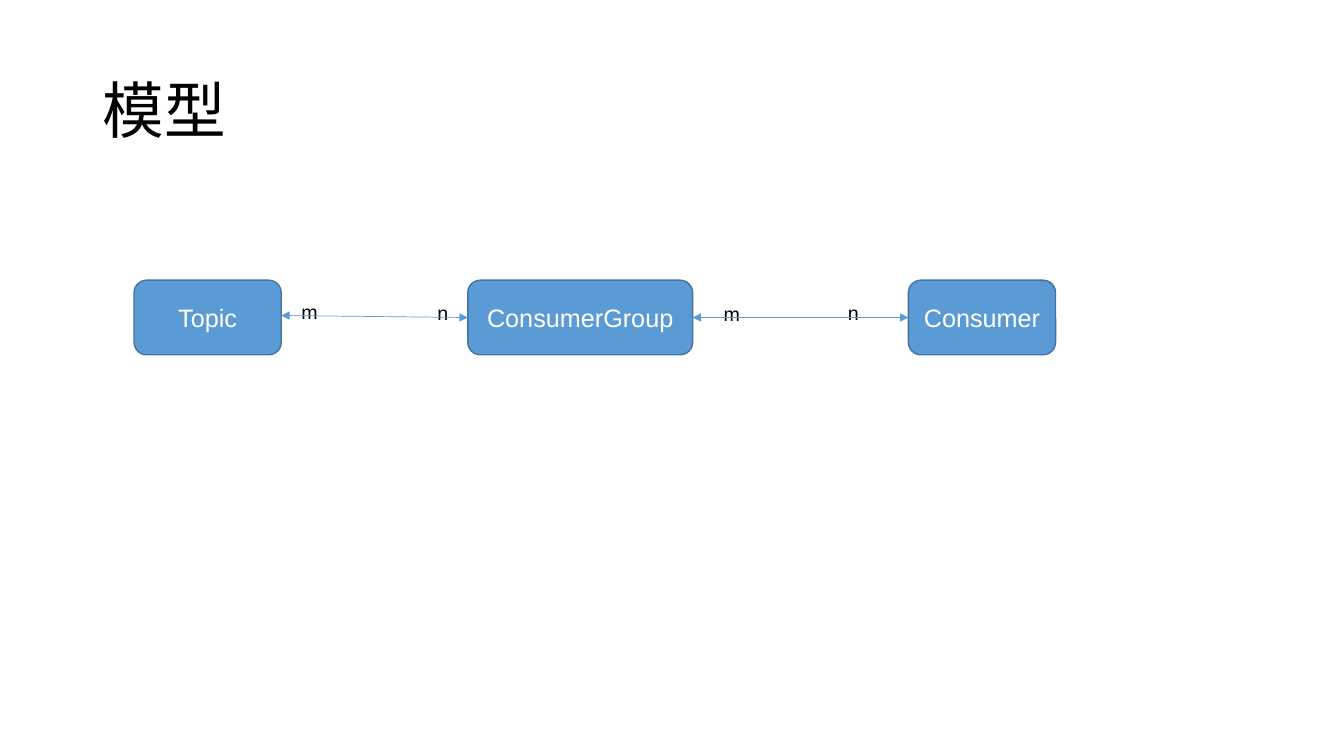
import pptx
import pptx.util
import pptx.dml.color
import pptx.enum.shapes
import pptx.enum.text
import pptx.oxml
import pptx.oxml.ns
from dataclasses import dataclass
from pptx.util import Inches

TITLE = "模型"
ENTITIES = [("Topic", 1.33, 1.46), ("ConsumerGroup", 4.64, 2.23), ("Consumer", 9.01, 1.46)]
ENTITY_TOP, ENTITY_HEIGHT = 2.78, 0.74
CARDINALITIES = [("m", 2.89, 2.93, 0.41), ("n", 4.24, 2.94, 0.41),
                 ("m", 7.08, 2.95, 0.36), ("n", 8.31, 2.94, 0.41)]
CARDINALITY_HEIGHT = 0.34
LINK_START_RISES = [0.02, 0]


@dataclass(frozen=True)
class Theme:
    font: str = "Arial"
    dark: str = "000000"
    light: str = "FFFFFF"
    fill: str = "5B9BD5"
    outline: str = "43739E"
    title_size: int = 44
    entity_size: int = 18
    cardinality_size: int = 14


THEME = Theme()
ALIGN = pptx.enum.text.PP_ALIGN
ANCHOR = pptx.enum.text.MSO_ANCHOR
FIT = pptx.enum.text.MSO_AUTO_SIZE


def rgb(code):
    return pptx.dml.color.RGBColor.from_string(code)


def write(box, text, size, color=THEME.dark, align=ALIGN.LEFT,
          anchor=ANCHOR.MIDDLE, fit=FIT.NONE, spacing=1.0):
    frame = box.text_frame
    frame.word_wrap = True
    frame.auto_size = fit
    frame.vertical_anchor = anchor
    para = frame.paragraphs[0]
    para.alignment = align
    para.line_spacing = spacing
    span = para.add_run()
    span.text = text
    span.font.name = THEME.font
    span.font.size = pptx.util.Pt(size)
    span.font.color.rgb = rgb(color)


def add_title(page):
    box = page.shapes.title
    box.left, box.top, box.width, box.height = map(Inches, (0.92, 0.4, 11.5, 1.45))
    write(box, TITLE, THEME.title_size, spacing=0.9)


def add_entity(page, name, left, width):
    box = page.shapes.add_shape(
        pptx.enum.shapes.MSO_SHAPE.ROUNDED_RECTANGLE,
        *map(Inches, (left, ENTITY_TOP, width, ENTITY_HEIGHT)))
    box.shadow.inherit = False
    box.fill.solid()
    box.fill.fore_color.rgb = rgb(THEME.fill)
    box.line.color.rgb = rgb(THEME.outline)
    box.line.width = pptx.util.Pt(1)
    write(box, name, THEME.entity_size, color=THEME.light, align=ALIGN.CENTER)


def add_cardinality(page, text, left, top, width):
    box = page.shapes.add_textbox(*map(Inches, (left, top, width, CARDINALITY_HEIGHT)))
    write(box, text, THEME.cardinality_size, anchor=ANCHOR.TOP, fit=FIT.SHAPE_TO_FIT_TEXT)


def add_link(page, source, target, rise):
    middle = ENTITY_TOP + ENTITY_HEIGHT / 2
    link = page.shapes.add_connector(
        pptx.enum.shapes.MSO_CONNECTOR.STRAIGHT,
        *map(Inches, (source[1] + source[2], middle - rise, target[1], middle)))
    link.line.color.rgb = rgb(THEME.fill)
    link.line.width = pptx.util.Pt(0.5)
    outline = link.line._get_or_add_ln()
    for end in ("headEnd", "tailEnd"):
        outline.append(pptx.oxml.parse_xml(
            f'<a:{end} {pptx.oxml.ns.nsdecls("a")} type="triangle"/>'))
    link._element.spPr.append(pptx.oxml.parse_xml(
        f'<a:effectLst {pptx.oxml.ns.nsdecls("a")}/>'))


def main():
    deck = pptx.Presentation()
    deck.slide_width, deck.slide_height = Inches(13.33), Inches(7.5)
    page = deck.slides.add_slide(deck.slide_layouts[5])
    add_title(page)
    for entity in ENTITIES:
        add_entity(page, *entity)
    for cardinality in CARDINALITIES:
        add_cardinality(page, *cardinality)
    for source, target, rise in zip(ENTITIES, ENTITIES[1:], LINK_START_RISES):
        add_link(page, source, target, rise)
    deck.save("out.pptx")


if __name__ == "__main__":
    main()
